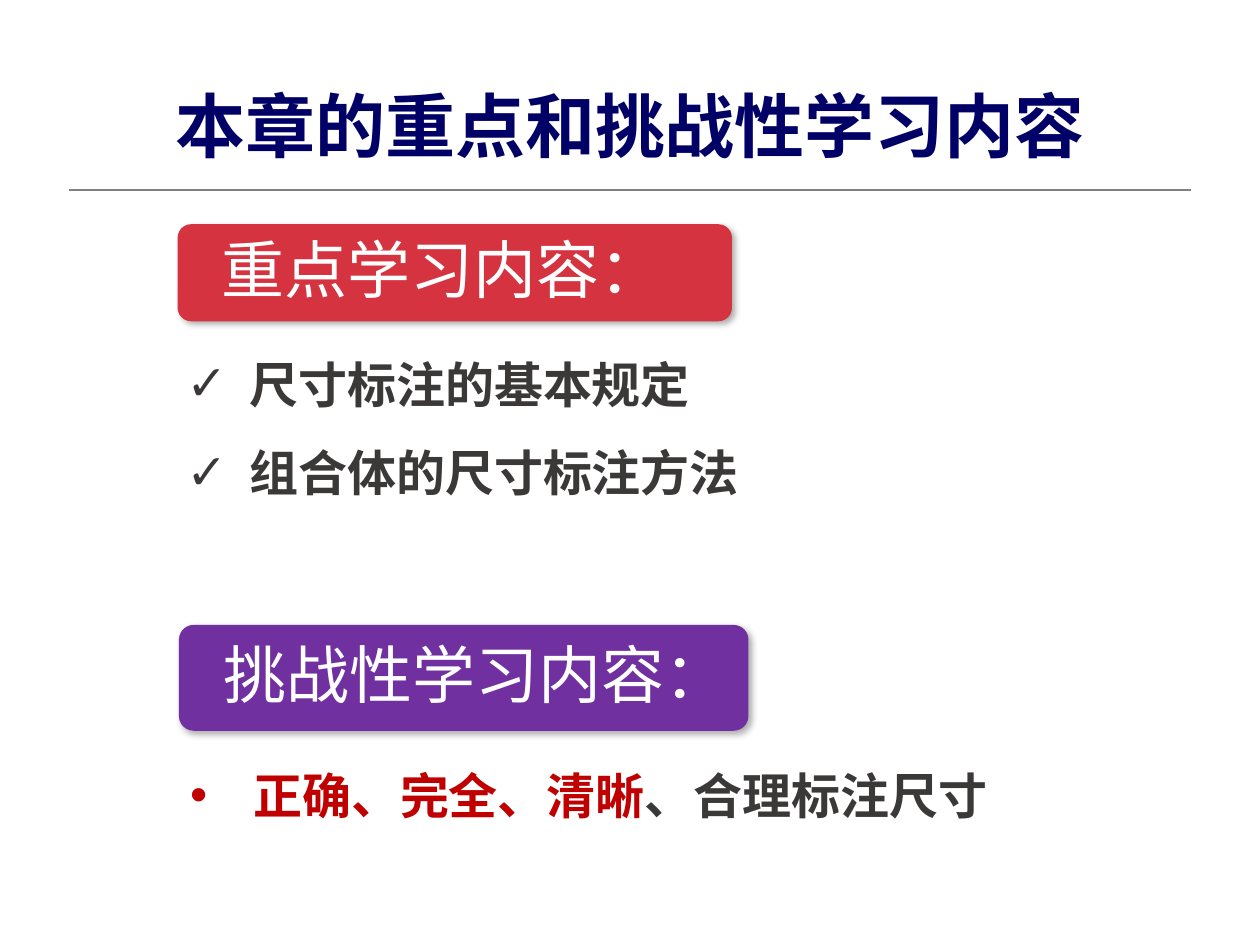
from lxml.etree import SubElement
from pptx import Presentation
from pptx.dml.color import RGBColor
from pptx.enum.lang import MSO_LANGUAGE_ID as Lang
from pptx.enum.shapes import MSO_CONNECTOR as Connector, MSO_SHAPE as Shape
from pptx.enum.text import MSO_ANCHOR as Anchor, MSO_AUTO_SIZE as AutoSize, PP_ALIGN as Align
from pptx.oxml.ns import qn
from pptx.util import Inches, Pt

COLORS = {
    "title": "000066",
    "rule": "808080",
    "key": "D4333F",
    "challenge": "7030A0",
    "white": "FFFFFF",
    "body": "3B3838",
    "emphasis": "C00000",
    "shadow": "000000",
}
FONT = "Arial"


def rgb(name):
    return RGBColor.from_string(COLORS[name])


def place(shape, left, top, width, height):
    shape.left, shape.top = Inches(left), Inches(top)
    shape.width, shape.height = Inches(width), Inches(height)


def add_run(paragraph, text, size, color, bold=True):
    run = paragraph.add_run()
    run.text = text
    font = run.font
    font.name, font.size, font.bold = FONT, Pt(size), bold
    font.color.rgb = rgb(color)
    font.language_id = Lang.SIMPLIFIED_CHINESE


def set_frame(frame, anchor):
    frame.word_wrap = True
    frame.auto_size = AutoSize.NONE
    frame.vertical_anchor = anchor


def fill_title(title, text):
    place(title, 0.55, 0.6, 8.9, 0.77)
    set_frame(title.text_frame, Anchor.BOTTOM)
    paragraph = title.text_frame.paragraphs[0]
    paragraph.alignment = Align.CENTER
    add_run(paragraph, text, 40, "title")


def add_rule(slide):
    rule = slide.shapes.add_connector(
        Connector.STRAIGHT, Inches(0.55), Inches(1.51), Inches(9.45), Inches(1.51))
    rule.line.color.rgb = rgb("rule")
    rule.line.width = Pt(1)
    SubElement(rule._element.spPr, qn("a:effectLst"))


def add_soft_shadow(shape):
    shape.shadow.inherit = False
    effects = shape._element.spPr.find(qn("a:effectLst"))
    shadow = SubElement(effects, qn("a:outerShdw"), blurRad=str(Pt(4)), dist=str(Pt(2)),
                        dir=str(45 * 60000), algn="tl", rotWithShape="0")
    color = SubElement(shadow, qn("a:srgbClr"), val=COLORS["shadow"])
    SubElement(color, qn("a:alpha"), val="33000")


def add_heading(slide, text, color, box):
    banner = slide.shapes.add_shape(Shape.ROUNDED_RECTANGLE, *map(Inches, box))
    banner.adjustments[0] = 0.14
    banner.fill.solid()
    banner.fill.fore_color.rgb = rgb(color)
    banner.line.fill.background()
    add_soft_shadow(banner)

    frame = banner.text_frame
    set_frame(frame, Anchor.MIDDLE)
    frame.margin_left = Inches(0.32)
    frame.margin_top = frame.margin_right = frame.margin_bottom = Inches(0.1)
    paragraph = frame.paragraphs[0]
    paragraph.alignment = Align.LEFT
    paragraph.line_spacing = 0.9
    paragraph.space_after = Pt(12.6)
    add_run(paragraph, text, 36, "white", bold=False)


def set_bullet(paragraph, char):
    properties = paragraph._p.get_or_add_pPr()
    properties.set("marL", str(Inches(0.5)))
    properties.set("indent", str(Inches(-0.5)))
    SubElement(properties, qn("a:buFont"), typeface=FONT)
    SubElement(properties, qn("a:buChar"), char=char)


def fill_list(body, items, bullet, box):
    """Each item is a list of (text, color) runs."""
    place(body, *box)
    frame = body.text_frame
    set_frame(frame, Anchor.TOP)
    for index, item in enumerate(items):
        paragraph = frame.add_paragraph() if index else frame.paragraphs[0]
        paragraph.alignment = Align.JUSTIFY
        paragraph.line_spacing = 1.5
        paragraph.space_before = Pt(0)
        set_bullet(paragraph, bullet)
        for text, color in item:
            add_run(paragraph, text, 28, color)


def main():
    deck = Presentation()
    deck.slide_width, deck.slide_height = Inches(10), Inches(7.5)
    slide = deck.slides.add_slide(deck.slide_layouts.get_by_name("Two Content"))
    title, key_points, challenges = slide.placeholders

    fill_title(title, "本章的重点和挑战性学习内容")
    add_rule(slide)

    add_heading(slide, "重点学习内容：", "key", (1.41, 1.78, 4.4, 0.77))
    fill_list(key_points,
              [[("尺寸标注的基本规定", "body")], [("组合体的尺寸标注方法", "body")]],
              "✓", (1.38, 2.53, 8.46, 1.43))

    add_heading(slide, "挑战性学习内容：", "challenge", (1.42, 4.96, 4.52, 0.84))
    fill_list(challenges,
              [[("正确、完全、清晰", "emphasis"), ("、合理标注尺寸", "body")]],
              "•", (1.41, 5.79, 8.21, 0.72))

    deck.save("out.pptx")


if __name__ == "__main__":
    main()
